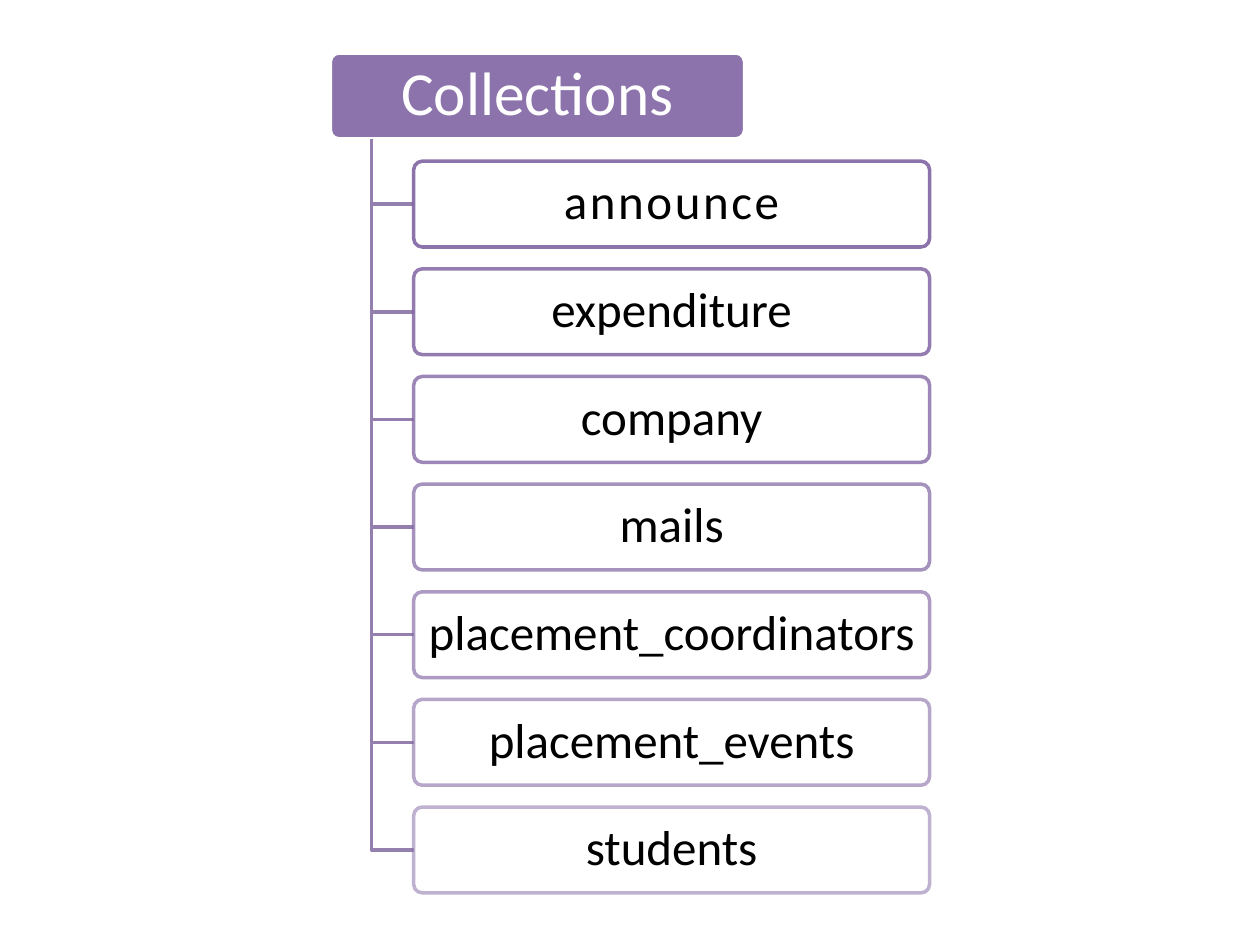
from lxml import etree
from pptx import Presentation
from pptx import util as u
from pptx.dml.color import RGBColor
from pptx.enum import shapes, text
from pptx.oxml import ns

PURPLE = RGBColor(0x80, 0x64, 0xA2)
BRANCH_PURPLE = RGBColor(0x94, 0x80, 0xAE)
WHITE = RGBColor(0xFF, 0xFF, 0xFF)
BLACK = RGBColor(0x00, 0x00, 0x00)

COLLECTIONS = ["announce", "expenditure", "company", "mails",
               "placement_coordinators", "placement_events", "students"]

# Layout, in centimetres
BOX_HEIGHT = 1.73
HEADER_LEFT, HEADER_TOP, HEADER_WIDTH = 6.66, 1.07, 8.35
TRUNK_X = 7.49
ITEM_LEFT, ITEM_TOP, ITEM_WIDTH, ITEM_PITCH = 8.34, 3.25, 10.4, 2.17


def set_opacity(fill, percent):
    """Make a solid fill partly transparent."""
    color = fill._xPr.find(ns.qn("a:solidFill"))[0]
    alpha = etree.SubElement(color, ns.qn("a:alpha"))
    alpha.set("val", str(round(percent * 1000)))


def add_box(slide, label, left, top, width, fill_color, line_color,
            line_opacity, font_size, font_color, insets):
    box = slide.shapes.add_shape(
        shapes.MSO_SHAPE.ROUNDED_RECTANGLE,
        u.Cm(left), u.Cm(top), u.Cm(width), u.Cm(BOX_HEIGHT))
    box.adjustments[0] = 0.1
    box.shadow.inherit = False
    box.fill.solid()
    box.fill.fore_color.rgb = fill_color
    set_opacity(box.fill, 90)
    box.line.color.rgb = line_color
    box.line.width = u.Pt(2)
    set_opacity(box.line.fill, line_opacity)

    frame = box.text_frame
    frame.word_wrap = True
    frame.vertical_anchor = text.MSO_ANCHOR.MIDDLE
    frame.margin_left = frame.margin_right = u.Cm(insets[0])
    frame.margin_top = frame.margin_bottom = u.Cm(insets[1])
    paragraph = frame.paragraphs[0]
    paragraph.text = label
    paragraph.alignment = text.PP_ALIGN.CENTER
    paragraph.line_spacing = 0.9
    paragraph.font.name = "Calibri"
    paragraph.font.size = u.Pt(font_size)
    paragraph.font.color.rgb = font_color
    return box


def add_branch(slide, item_middle):
    """Draw the elbow from the header down and across to an item."""
    trunk_x = u.Cm(TRUNK_X)
    builder = slide.shapes.build_freeform(
        trunk_x, u.Cm(HEADER_TOP + BOX_HEIGHT))
    builder.add_line_segments(
        [(trunk_x, u.Cm(item_middle)), (u.Cm(ITEM_LEFT), u.Cm(item_middle))],
        close=False)
    branch = builder.convert_to_shape()
    branch.shadow.inherit = False
    branch.fill.background()
    branch.line.color.rgb = BRANCH_PURPLE
    branch.line.width = u.Pt(2)


def main():
    deck = Presentation()
    deck.slide_width, deck.slide_height = u.Cm(25.4), u.Cm(19.05)
    slide = deck.slides.add_slide(deck.slide_layouts[6])

    # Header
    add_box(slide, "Collections", HEADER_LEFT, HEADER_TOP, HEADER_WIDTH,
            PURPLE, WHITE, 100, 35, WHITE, (0.18, 0.13))

    # Items, with outlines fading from 90 to 50 percent
    fade = 40 / (len(COLLECTIONS) - 1)
    for index, name in enumerate(COLLECTIONS):
        top = ITEM_TOP + index * ITEM_PITCH
        add_branch(slide, top + BOX_HEIGHT / 2)
        item = add_box(slide, name, ITEM_LEFT, top, ITEM_WIDTH, WHITE, PURPLE,
                       90 - index * fade, 28, BLACK, (0.15, 0.1))
        if index == 0:
            # The first name is letter-spaced by 1.5 pt
            run = item.text_frame.paragraphs[0].runs[0]
            run._r.get_or_add_rPr().set("spc", "150")

    deck.save("out.pptx")


if __name__ == "__main__":
    main()
